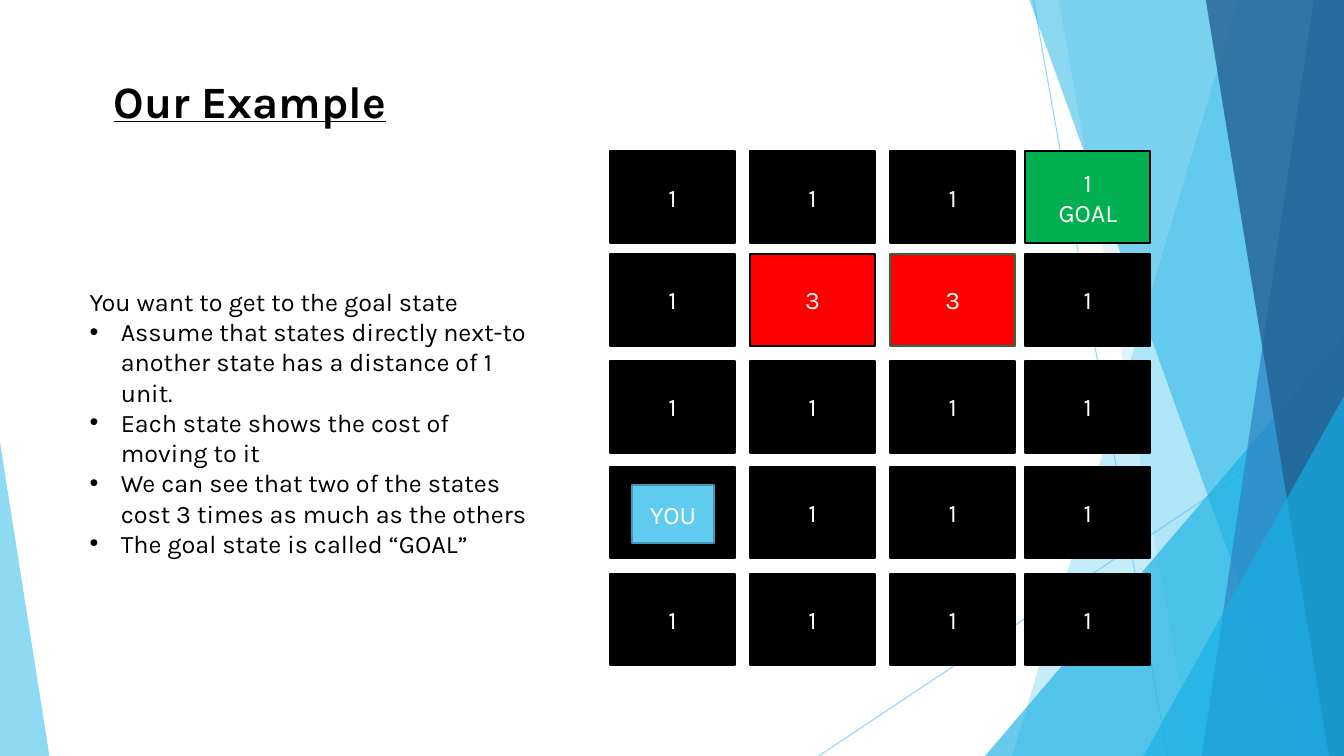
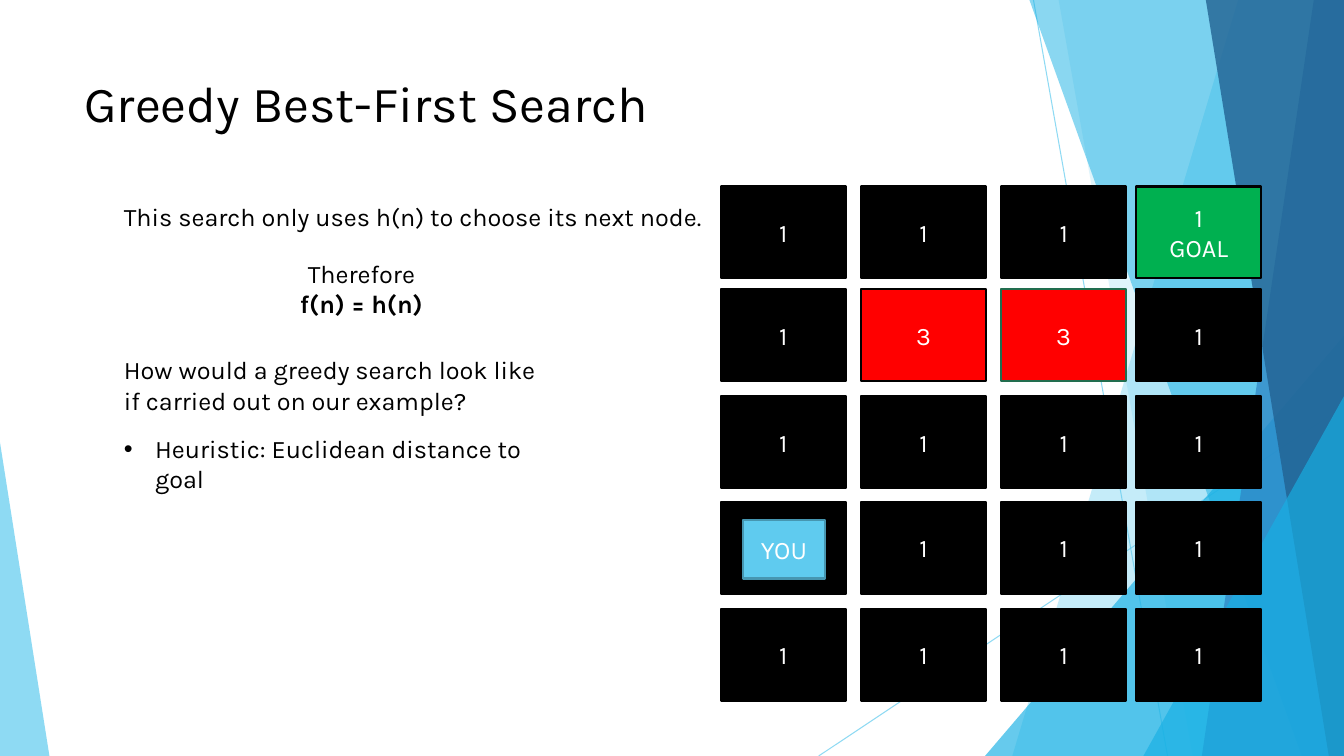
from lxml.etree import SubElement
from pptx import Presentation
from pptx.dml.color import RGBColor
from pptx.enum.shapes import MSO_CONNECTOR, MSO_SHAPE
from pptx.enum.text import MSO_ANCHOR, PP_ALIGN
from pptx.oxml.ns import qn
from pptx.util import Inches, Pt

WIDTH, HEIGHT = 13.33, 7.5
FONT = "Karla"
BLACK = RGBColor(0x00, 0x00, 0x00)
WHITE = RGBColor(0xFF, 0xFF, 0xFF)
RED = RGBColor(0xFF, 0x00, 0x00)
GREEN = RGBColor(0x00, 0xB0, 0x50)
PINE = RGBColor(0x22, 0x6D, 0x4F)
SKY = RGBColor(0x5F, 0xCB, 0xEF)
STEEL = RGBColor(0x46, 0x96, 0xB1)
CYAN = RGBColor(0x17, 0xB0, 0xE4)
BLUE = RGBColor(0x2E, 0x83, 0xC3)
NAVY = RGBColor(0x22, 0x62, 0x92)

CELL_W, CELL_H = 1.24, 0.91
COLS = (0, 1.39, 2.78, 4.12)
ROWS = (0, 1.02, 2.08, 3.13, 4.19)
YOU_BOX = (0.22, 0.18, 0.81, 0.58)
COSTS = (
    ("1", "1", "1", "1\nGOAL"),
    ("1", "3", "3", "1"),
    ("1", "1", "1", "1"),
    ("", "1", "1", "1"),
    ("1", "1", "1", "1"),
)
FILLS = {"3": RED, "1\nGOAL": GREEN}
EDGES = {(1, 2): PINE}


def fade(fill, alpha):
    """Give a solid fill an opacity in percent."""
    color = fill._xPr.find(qn("a:solidFill"))[0]
    SubElement(color, qn("a:alpha"), val=str(alpha * 1000))


def tint(shape, color, alpha):
    """Fill a shape with a clear colour and no outline."""
    shape.shadow.inherit = False
    shape.fill.solid()
    shape.fill.fore_color.rgb = color
    fade(shape.fill, alpha)
    shape.line.fill.background()


def ray(slide, x1, y1, x2, y2):
    """Draw a thin line behind the bands."""
    line = slide.shapes.add_connector(
        MSO_CONNECTOR.STRAIGHT, Inches(x1), Inches(y1), Inches(x2), Inches(y2))
    line.line.color.rgb = SKY
    line.line.width = Pt(0.75)
    fade(line.line.fill, 70)
    SubElement(line._element.spPr, qn("a:effectLst"))


def band(slide, top, base, color, alpha):
    """Draw a band from a slanted left edge to the right of the slide."""
    pen = slide.shapes.build_freeform(Inches(top), 0, 1.0)
    pen.add_line_segments([
        (Inches(WIDTH), 0),
        (Inches(WIDTH), Inches(HEIGHT)),
        (Inches(base), Inches(HEIGHT)),
    ])
    tint(pen.convert_to_shape(), color, alpha)


def wedge(slide, left, top, width, peak, color, alpha):
    """Draw a triangle that stands on the foot of the slide."""
    shape = slide.shapes.add_shape(
        MSO_SHAPE.ISOSCELES_TRIANGLE, Inches(left), Inches(top),
        Inches(width), Inches(HEIGHT - top))
    shape.adjustments[0] = peak
    tint(shape, color, alpha)


def backdrop(slide):
    """Draw the facets shared by all slides."""
    ray(slide, 10.25, 0, 11.58, HEIGHT)
    ray(slide, WIDTH, 4.03, 8.12, HEIGHT)
    band(slide, 12.28, 10.04, SKY, 36)
    band(slide, 10.5, 11.83, SKY, 20)
    wedge(slide, 9.77, 3.33, 3.56, 1, CYAN, 66)
    band(slide, 10.21, 12.91, CYAN, 50)
    band(slide, 13.03, 11.92, BLUE, 70)
    band(slide, 11.96, 13.18, NAVY, 80)
    wedge(slide, 11.34, 3.93, 1.99, 1, CYAN, 66)
    wedge(slide, 0, 4.39, 0.49, 0, SKY, 70)


def write(para, text, size=18, color=BLACK, bold=False, under=False):
    """Add one styled run to a paragraph."""
    run = para.add_run()
    run.text = text
    font = run.font
    font.name, font.size, font.bold, font.underline = FONT, Pt(size), bold, under
    font.color.rgb = color


def bullet(para):
    """Turn a paragraph into a bullet with a hanging indent."""
    props = para._p.get_or_add_pPr()
    props.set("marL", str(Inches(0.31)))
    props.set("indent", str(Inches(-0.31)))
    SubElement(props, qn("a:buFont"), typeface="Arial")
    SubElement(props, qn("a:buChar"), char="•")


def lines(frame, count):
    """Return the given number of paragraphs of a text frame."""
    return [frame.paragraphs[0]] + [frame.add_paragraph() for _ in range(count - 1)]


def note(slide, box, *texts, dots=False, align=PP_ALIGN.LEFT, **style):
    """Place a text box; with dots, texts after the lead are bullets."""
    frame = slide.shapes.add_textbox(*map(Inches, box)).text_frame
    frame.word_wrap = True
    for para, text in zip(lines(frame, len(texts)), texts):
        para.alignment = align
        if dots and (len(texts) == 1 or text != texts[0]):
            bullet(para)
        write(para, text, **style)
    return frame


def tile(slide, box, text, fill, edge):
    """Place one state of the grid."""
    shape = slide.shapes.add_shape(MSO_SHAPE.RECTANGLE, *map(Inches, box))
    shape.shadow.inherit = False
    shape.fill.solid()
    shape.fill.fore_color.rgb = fill
    shape.line.color.rgb = edge
    shape.line.width = Pt(1.5)
    if text:
        frame = shape.text_frame
        frame.vertical_anchor = MSO_ANCHOR.MIDDLE
        parts = text.split("\n")
        for para, part in zip(lines(frame, len(parts)), parts):
            para.alignment = PP_ALIGN.CENTER
            write(para, part, color=WHITE)


def grid(slide, left, top):
    """Place the cost grid with the player on its start state."""
    for r, row in enumerate(COSTS):
        for c, cost in enumerate(row):
            box = (left + COLS[c], top + ROWS[r], CELL_W, CELL_H)
            tile(slide, box, cost, FILLS.get(cost, BLACK), EDGES.get((r, c), BLACK))
    dx, dy, width, height = YOU_BOX
    tile(slide, (left + dx, top + ROWS[3] + dy, width, height), "YOU", SKY, STEEL)


def sample(slide):
    """Fill the slide that sets out the example."""
    grid(slide, 6.05, 1.5)
    note(slide, (0.79, 2.79, 4.54, 2.83),
         "You want to get to the goal state",
         "Assume that states directly next-to another state has a distance of 1 unit.",
         "Each state shows the cost of moving to it",
         "We can see that two of the states cost 3 times as much as the others",
         "The goal state is called “GOAL”", dots=True)
    note(slide, (1.03, 0.68, 4.13, 0.64), "Our Example", size=32, bold=True, under=True)


def greedy(slide):
    """Fill the slide on greedy search."""
    note(slide, (0.74, 0.67, 9.4, 1.44), "Greedy Best-First Search", size=36)
    note(slide, (1.13, 1.95, 6.99, 0.4),
         "This search only uses h(n) to choose its next node.")
    frame = note(slide, (2.37, 2.51, 2.43, 0.71), "Therefore", align=PP_ALIGN.CENTER)
    rule = frame.add_paragraph()
    rule.alignment = PP_ALIGN.CENTER
    write(rule, "f(n) = h(n)", bold=True)
    note(slide, (1.13, 3.47, 4.37, 0.71),
         "How would a greedy search look like if carried out on our example?")
    grid(slide, 7.15, 1.85)
    note(slide, (1.13, 4.25, 4.37, 0.71),
         "Heuristic: Euclidean distance to goal", dots=True)


def main():
    """Build and save the deck."""
    deck = Presentation()
    deck.slide_width, deck.slide_height = Inches(WIDTH), Inches(HEIGHT)
    for fill in (sample, greedy):
        slide = deck.slides.add_slide(deck.slide_layouts[6])
        backdrop(slide)
        fill(slide)
    deck.save("out.pptx")


if __name__ == "__main__":
    main()
